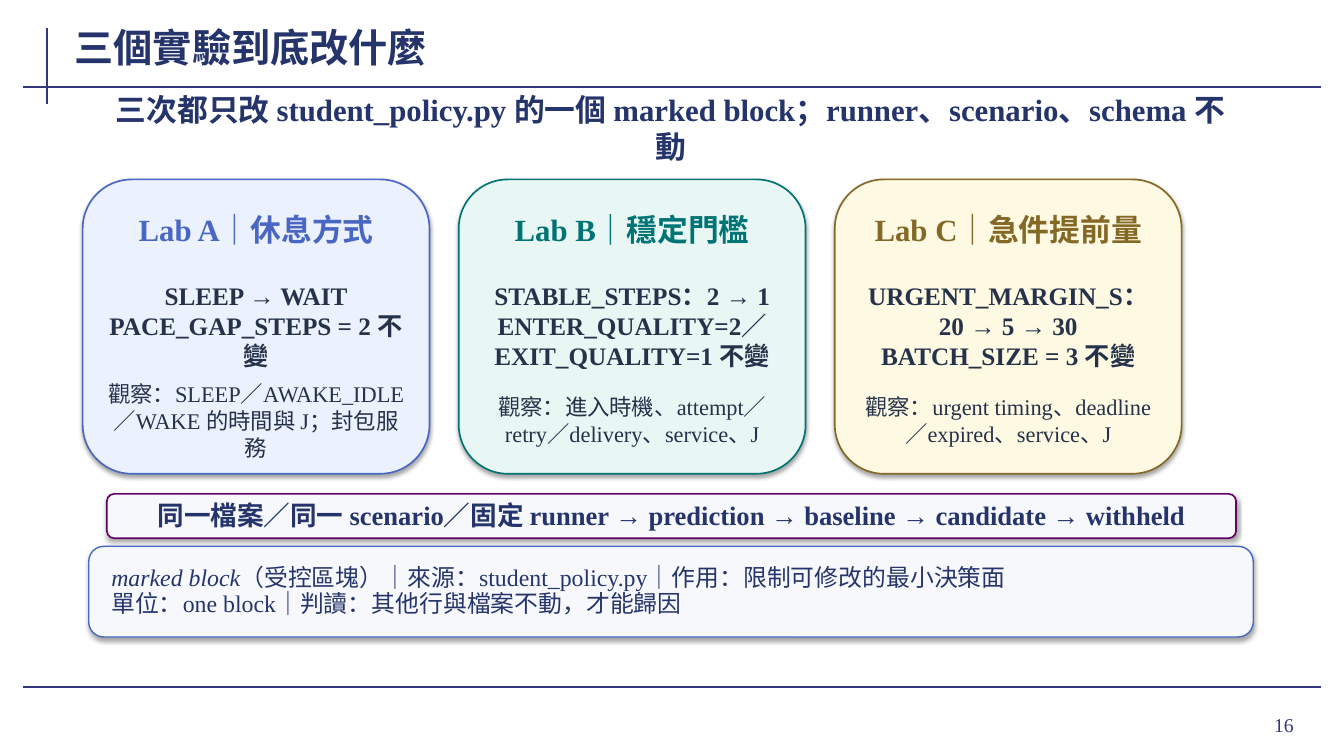
from lxml import etree
from pptx import Presentation
from pptx.dml.color import RGBColor
from pptx.enum.shapes import MSO_CONNECTOR, MSO_SHAPE
from pptx.enum.text import MSO_ANCHOR, MSO_AUTO_SIZE, PP_ALIGN
from pptx.oxml import parse_xml
from pptx.oxml.ns import qn
from pptx.util import Inches, Pt

LEFT, CENTER, RIGHT = PP_ALIGN.LEFT, PP_ALIGN.CENTER, PP_ALIGN.RIGHT
MIDDLE = MSO_ANCHOR.MIDDLE
GROW, FIXED = MSO_AUTO_SIZE.SHAPE_TO_FIT_TEXT, MSO_AUTO_SIZE.NONE
ROUNDED, STRAIGHT = MSO_SHAPE.ROUNDED_RECTANGLE, MSO_CONNECTOR.STRAIGHT

FONT = "Times New Roman"
RULE, NAVY, INK = "35377F", "25356B", "25324A"
BLUE, TEAL, GOLD, PURPLE, PALE = "4967C2", "007374", "846826", "660066", "F7F8FC"
TIGHT = (0.02, 0.01)
SHADOW = (
    '<a:effectLst xmlns:a="http://schemas.openxmlformats.org/drawingml/2006/main">'
    '<a:outerShdw blurRad="39370" dist="22860" dir="5400000" algn="ctr" rotWithShape="0">'
    '<a:srgbClr val="000000"><a:alpha val="35000"/></a:srgbClr>'
    '</a:outerShdw></a:effectLst>'
)

# accent, fill, heading, changed settings, what to observe
LABS = [
    (BLUE, "ECF1FE", "Lab A｜休息方式",
     ["SLEEP → WAIT", "PACE_GAP_STEPS = 2 不變"],
     "觀察：SLEEP／AWAKE_IDLE／WAKE 的時間與 J；封包服務"),
    (TEAL, "E8F7F4", "Lab B｜穩定門檻",
     ["STABLE_STEPS：2 → 1", "ENTER_QUALITY=2／EXIT_QUALITY=1 不變"],
     "觀察：進入時機、attempt／retry／delivery、service、J"),
    (GOLD, "FDF9E2", "Lab C｜急件提前量",
     ["URGENT_MARGIN_S：20 → 5 → 30", "BATCH_SIZE = 3 不變"],
     "觀察：urgent timing、deadline／expired、service、J"),
]
CARD_LEFT, CARD_STEP = 0.82, 3.73


def rgb(value):
    return RGBColor.from_string(value)


def write(shape, paragraphs, size, color, bold=False, align=CENTER,
          margins=TIGHT, spacing=None, auto_size=FIXED):
    """Each paragraph is a string or a list of (text, italic) runs."""
    tf = shape.text_frame
    side, edge = (Inches(m) for m in margins)
    frame = {"word_wrap": True, "auto_size": auto_size, "vertical_anchor": MIDDLE,
             "margin_left": side, "margin_right": side,
             "margin_top": edge, "margin_bottom": edge}
    for name, value in frame.items():
        setattr(tf, name, value)
    for i, runs in enumerate(paragraphs):
        p = tf.paragraphs[0] if i == 0 else tf.add_paragraph()
        p.alignment = align
        if spacing:
            p.line_spacing = spacing
        for text, italic in [(runs, False)] if isinstance(runs, str) else runs:
            r = p.add_run()
            r.text = text
            style = {"name": FONT, "size": Pt(size), "bold": bold, "italic": italic}
            for name, value in style.items():
                setattr(r.font, name, value)
            r.font.color.rgb = rgb(color)


def add_text(s, box, paragraphs, size, color, **style):
    write(s.shapes.add_textbox(*map(Inches, box)), paragraphs, size, color, **style)


def add_panel(s, box, fill, line, width=1.2):
    sp = s.shapes.add_shape(ROUNDED, *map(Inches, box))
    sp.fill.solid()
    sp.fill.fore_color.rgb = rgb(fill)
    sp.line.color.rgb = rgb(line)
    sp.line.width = Pt(width)
    sp._element.spPr.append(parse_xml(SHADOW))
    return sp


def add_rule(s, x1, y1, x2, y2):
    c = s.shapes.add_connector(STRAIGHT, *map(Inches, (x1, y1, x2, y2)))
    c.line.color.rgb = rgb(RULE)
    c.line.width = Pt(1.5)
    etree.SubElement(c._element.spPr, qn("a:effectLst"))


def add_lab(s, x, accent, fill, heading, settings, observe):
    add_panel(s, (x, 1.78, 3.44, 2.92), fill, accent)
    add_text(s, (x + 0.16, 2.02, 3.12, 0.5), [heading], 22, accent,
             bold=True, auto_size=GROW)
    add_text(s, (x + 0.2, 2.78, 3.04, 0.9), settings, 18, INK,
             bold=True, auto_size=GROW)
    add_text(s, (x + 0.22, 3.86, 3, 0.62), [observe], 16, INK, auto_size=GROW)


def main():
    prs = Presentation()
    prs.slide_width, prs.slide_height = Inches(13.33), Inches(7.5)
    s = prs.slides.add_slide(prs.slide_layouts[6])

    # Frame lines and page number
    add_rule(s, 0.47, 0.28, 0.47, 1.03)
    for y in (0.86, 6.82):
        add_rule(s, 0.23, y, 13.1, y)
    add_text(s, (11.96, 6.93, 0.97, 0.52), ["16"], 14, RULE,
             align=RIGHT, margins=(0.1, 0.05))

    # Title and key message
    add_text(s, (0.72, 0.2, 10.35, 0.53), ["三個實驗到底改什麼"], 28, NAVY,
             bold=True, align=LEFT, margins=(0.02, 0))
    add_text(s, (0.98, 1.02, 11.34, 0.5),
             ["三次都只改 student_policy.py 的一個 marked block；runner、scenario、schema 不動"],
             22, NAVY, bold=True, auto_size=GROW)

    # Lab cards
    for i, lab in enumerate(LABS):
        add_lab(s, CARD_LEFT + i * CARD_STEP, *lab)

    # Shared workflow
    flow = add_panel(s, (1.06, 4.9, 11.2, 0.44), PALE, PURPLE)
    write(flow, ["同一檔案／同一 scenario／固定 runner → prediction → baseline → candidate → withheld"],
          19, NAVY, bold=True, margins=(0.12, 0.05), spacing=0.95)

    # Term definition
    term = add_panel(s, (0.88, 5.42, 11.55, 0.9), PALE, BLUE, 1)
    write(term,
          [[("marked block", True),
            ("（受控區塊）｜來源：student_policy.py｜作用：限制可修改的最小決策面", False)],
           "單位：one block｜判讀：其他行與檔案不動，才能歸因"],
          17, NAVY, align=LEFT, margins=(0.18, 0.05), spacing=0.92)

    prs.save("out.pptx")


if __name__ == "__main__":
    main()
